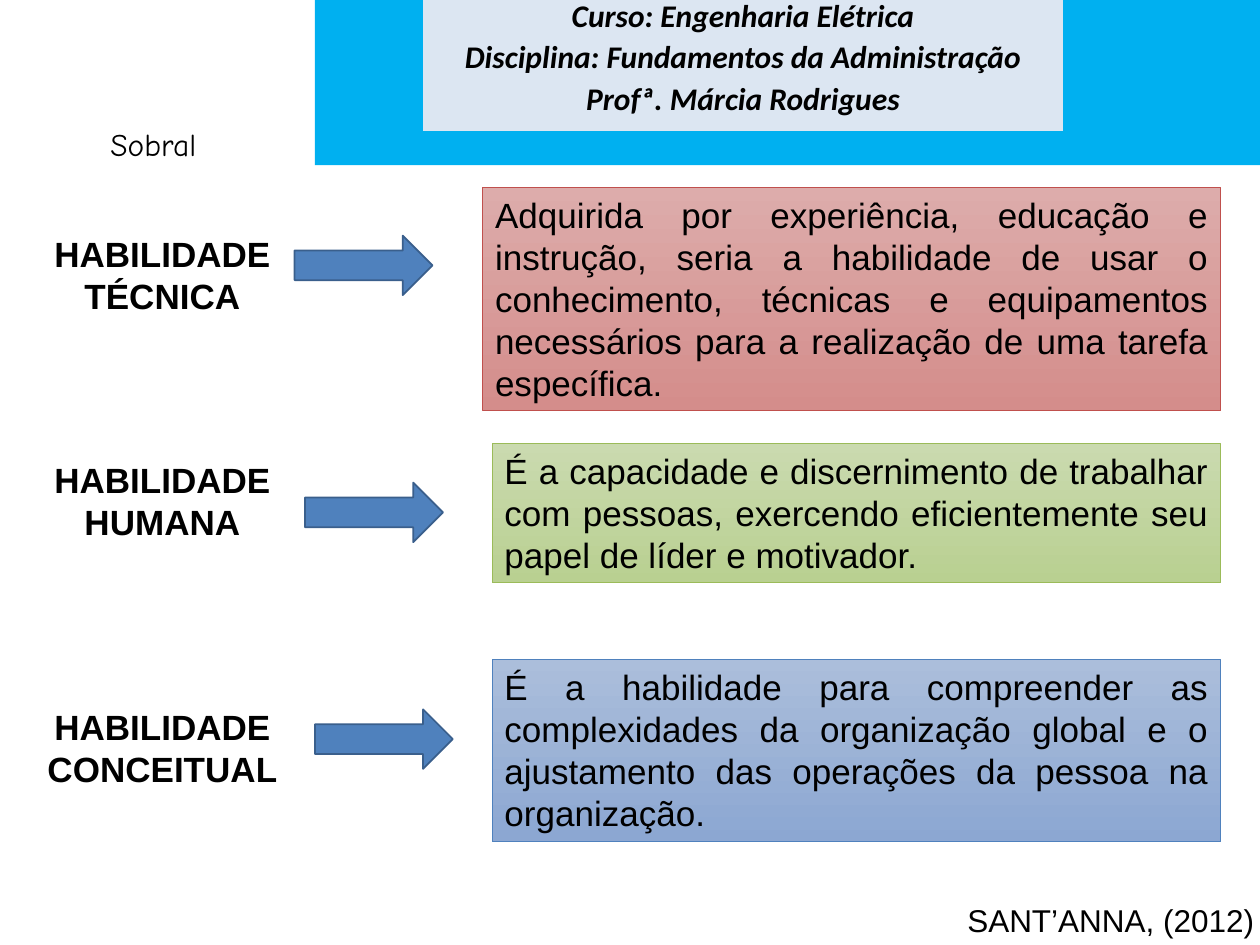
from pptx import Presentation
from pptx.dml.color import RGBColor
from pptx.enum.shapes import MSO_SHAPE
from pptx.enum.text import MSO_ANCHOR, PP_ALIGN
from pptx.util import Cm, Pt

RECTANGLE, ARROW = MSO_SHAPE.RECTANGLE, MSO_SHAPE.RIGHT_ARROW
LEFT, CENTER, JUSTIFY = PP_ALIGN.LEFT, PP_ALIGN.CENTER, PP_ALIGN.JUSTIFY
TOP = MSO_ANCHOR.TOP

BLACK = RGBColor(0x00, 0x00, 0x00)
CYAN = RGBColor(0x00, 0xB0, 0xF0)
PALE_BLUE = RGBColor(0xDC, 0xE6, 0xF2)
BLUE = RGBColor(0x4F, 0x81, 0xBD)
DARK_BLUE = RGBColor(0x3A, 0x5F, 0x8C)
RED = RGBColor(0xC0, 0x50, 0x4D)
GREEN = RGBColor(0x9B, 0xBB, 0x59)
RED_FADE = (RGBColor(0xDD, 0xAC, 0xAB), RGBColor(0xD4, 0x8D, 0x8B))
GREEN_FADE = (RGBColor(0xCA, 0xDA, 0xAF), RGBColor(0xB9, 0xD0, 0x91))
BLUE_FADE = (RGBColor(0xAB, 0xBE, 0xDB), RGBColor(0x8C, 0xA7, 0xD2))

COURSE_LINES = (
    "Curso: Engenharia Elétrica",
    "Disciplina: Fundamentos da Administração",
    "Profª. Márcia Rodrigues",
)

# name, label top, arrow (left, top), definition (left, top, height), fade, line, definition
SKILLS = (
    ("HABILIDADE TÉCNICA", 4.57, (5.94, 4.75), (9.73, 3.77, 4.51), RED_FADE, RED,
     "Adquirida por experiência, educação e instrução, seria a habilidade de usar "
     "o conhecimento, técnicas e equipamentos necessários para a realização de uma "
     "tarefa específica."),
    ("HABILIDADE HUMANA", 9.12, (6.15, 9.73), (9.92, 8.94, 2.81), GREEN_FADE, GREEN,
     "É a capacidade e discernimento de trabalhar com pessoas, exercendo "
     "eficientemente seu papel de líder e motivador."),
    ("HABILIDADE CONCEITUAL", 14.1, (6.35, 14.3), (9.92, 13.29, 3.68), BLUE_FADE, BLUE,
     "É a habilidade para compreender as complexidades da organização global e o "
     "ajustamento das operações da pessoa na organização."),
)
DEFINITION_RIGHT = 24.61


def write(shape, *lines, font="Arial", size=20, bold=False, italic=False,
          align=LEFT, line_spacing=None, before=None, wrap=True):
    """Fill a shape with one paragraph per line."""
    frame = shape.text_frame
    frame.word_wrap = wrap
    frame.vertical_anchor = TOP
    for index, line in enumerate(lines):
        paragraph = frame.add_paragraph() if index else frame.paragraphs[0]
        paragraph.alignment = align
        paragraph.line_spacing = line_spacing
        if index and before:
            paragraph.space_before = Pt(before)
        run = paragraph.add_run()
        run.text = line
        run.font.name, run.font.size = font, Pt(size)
        run.font.bold, run.font.italic = bold, italic
        run.font.color.rgb = BLACK


class SlideBuilder:
    def __init__(self, slide, line_width=0.5):
        self.shapes = slide.shapes
        self.line_width = line_width

    def block(self, left, top, width, height, fill, line=None, line_width=None,
              kind=RECTANGLE):
        """Add a preset shape; a pair of colours as fill fades from top to bottom."""
        shape = self.shapes.add_shape(kind, Cm(left), Cm(top), Cm(width), Cm(height))
        shape.shadow.inherit = False
        if isinstance(fill, RGBColor):
            shape.fill.solid()
            shape.fill.fore_color.rgb = fill
        else:
            shape.fill.gradient()
            shape.fill.gradient_angle = 270
            for stop, color in zip(shape.fill.gradient_stops, fill):
                stop.color.rgb = color
        if line is None:
            shape.line.fill.background()
        else:
            shape.line.color.rgb = line
            shape.line.width = Pt(line_width or self.line_width)
        return shape

    def arrow(self, left, top):
        return self.block(left, top, 2.78, 1.2, BLUE, DARK_BLUE, 1, ARROW)

    def text(self, left, top, width, height, content, **style):
        box = self.shapes.add_textbox(Cm(left), Cm(top), Cm(width), Cm(height))
        write(box, content, **style)
        return box


def main():
    presentation = Presentation()
    presentation.slide_width, presentation.slide_height = Cm(25.4), Cm(19.05)
    page = SlideBuilder(presentation.slides.add_slide(presentation.slide_layouts[6]))

    page.block(6.35, 0, 19.05, 3.33, CYAN)
    course = page.block(8.53, 0, 12.9, 2.64, PALE_BLUE)
    write(course, *COURSE_LINES, font="Calibri", size=18, bold=True, italic=True,
          align=CENTER, line_spacing=0.7, before=8.6)
    page.text(0.41, 2.39, 5.36, 1.02, "Sobral", font="Comic Neue", size=18, align=CENTER)

    for name, label_top, arrow, (left, top, height), fade, line, meaning in SKILLS:
        definition = page.block(left, top, DEFINITION_RIGHT - left, height, fade, line)
        write(definition, meaning, align=JUSTIFY)
        page.text(0, label_top, 6.55, 1.96, name, bold=True, align=CENTER)
        page.arrow(*arrow)

    page.text(19.25, 18.03, 6.35, 1.02, "SANT’ANNA, (2012)", size=18, wrap=False)
    presentation.save("out.pptx")


if __name__ == "__main__":
    main()
